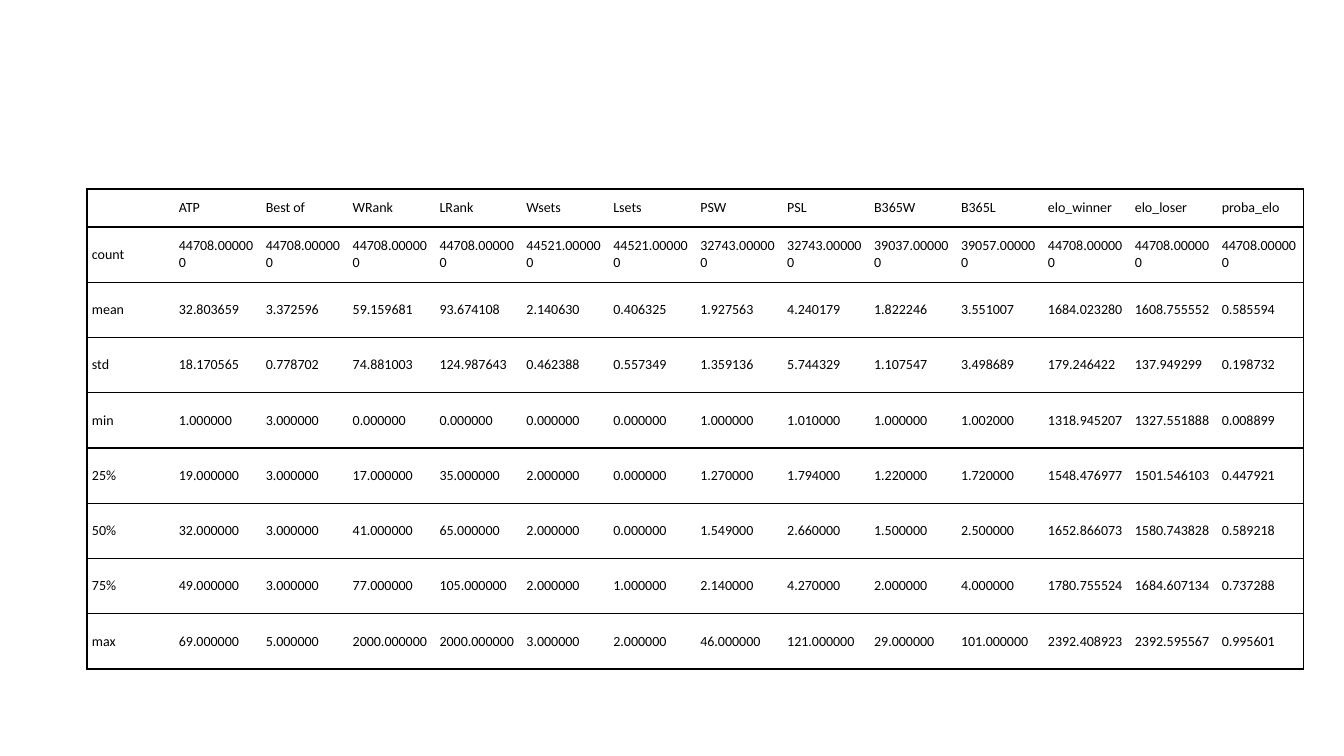
from lxml import etree
from pptx import Presentation
from pptx.dml.color import RGBColor
from pptx.enum.text import MSO_ANCHOR
from pptx.oxml.ns import qn
from pptx.util import Pt

MIDDLE = MSO_ANCHOR.MIDDLE
EMU_PER_PX = 914400 / 100.8
BLACK, WHITE = "000000", "FFFFFF"
NO_STYLE_NO_GRID = "{2D5ABB26-0587-4C30-8999-92F81FD0307C}"


def px(length):
    return round(length * EMU_PER_PX)


def add_border(cell, side):
    line = etree.SubElement(cell._tc.get_or_add_tcPr(), qn(f"a:ln{side}"), w=str(Pt(1)))
    fill = etree.SubElement(line, qn("a:solidFill"))
    etree.SubElement(fill, qn("a:srgbClr"), val=BLACK)


# Summary statistics, one row per measure
headings = ["", "ATP", "Best of", "WRank", "LRank", "Wsets", "Lsets", "PSW", "PSL",
            "B365W", "B365L", "elo_winner", "elo_loser", "proba_elo"]
statistics = [
    ["count", "44708.000000", "44708.000000", "44708.000000", "44708.000000",
     "44521.000000", "44521.000000", "32743.000000", "32743.000000", "39037.000000",
     "39057.000000", "44708.000000", "44708.000000", "44708.000000"],
    ["mean", "32.803659", "3.372596", "59.159681", "93.674108", "2.140630", "0.406325",
     "1.927563", "4.240179", "1.822246", "3.551007", "1684.023280", "1608.755552", "0.585594"],
    ["std", "18.170565", "0.778702", "74.881003", "124.987643", "0.462388", "0.557349",
     "1.359136", "5.744329", "1.107547", "3.498689", "179.246422", "137.949299", "0.198732"],
    ["min", "1.000000", "3.000000", "0.000000", "0.000000", "0.000000", "0.000000",
     "1.000000", "1.010000", "1.000000", "1.002000", "1318.945207", "1327.551888", "0.008899"],
    ["25%", "19.000000", "3.000000", "17.000000", "35.000000", "2.000000", "0.000000",
     "1.270000", "1.794000", "1.220000", "1.720000", "1548.476977", "1501.546103", "0.447921"],
    ["50%", "32.000000", "3.000000", "41.000000", "65.000000", "2.000000", "0.000000",
     "1.549000", "2.660000", "1.500000", "2.500000", "1652.866073", "1580.743828", "0.589218"],
    ["75%", "49.000000", "3.000000", "77.000000", "105.000000", "2.000000", "1.000000",
     "2.140000", "4.270000", "2.000000", "4.000000", "1780.755524", "1684.607134", "0.737288"],
    ["max", "69.000000", "5.000000", "2000.000000", "2000.000000", "3.000000", "2.000000",
     "46.000000", "121.000000", "29.000000", "101.000000", "2392.408923", "2392.595567",
     "0.995601"],
]
rows = [headings] + statistics

presentation = Presentation()
presentation.slide_width = px(1344)
presentation.slide_height = px(756)
slide = presentation.slides.add_slide(presentation.slide_layouts[6])

# Table frame: a low heading row above equal data rows
table_width, table_height, heading_height = 1217, 480, 38
table = slide.shapes.add_table(len(rows), len(headings), px(87), px(189),
                               px(table_width), px(table_height)).table
table.first_row = False
table.horz_banding = False
table._tbl.tblPr.find(qn("a:tableStyleId")).text = NO_STYLE_NO_GRID
for column in table.columns:
    column.width = px(table_width / len(headings))
for row in table.rows:
    row.height = px((table_height - heading_height) / len(statistics))
table.rows[0].height = px(heading_height)

# Cells: rules between rows, and the outer frame at both ends
for row_index, values in enumerate(rows):
    for column_index, value in enumerate(values):
        cell = table.cell(row_index, column_index)
        cell.vertical_anchor = MIDDLE
        cell.margin_left = cell.margin_right = px(5)
        cell.margin_top = cell.margin_bottom = px(3)
        if column_index == 0:
            add_border(cell, "L")
        if column_index == len(headings) - 1:
            add_border(cell, "R")
        add_border(cell, "T")
        add_border(cell, "B")
        cell.fill.solid()
        cell.fill.fore_color.rgb = RGBColor.from_string(WHITE)
        paragraph = cell.text_frame.paragraphs[0]
        paragraph.font.size = Pt(10)
        if value:
            run = paragraph.add_run()
            run.text = value
            run.font.name = "Calibri"
            run.font.size = Pt(10)
            run.font.color.rgb = RGBColor.from_string(BLACK)

presentation.save("out.pptx")
